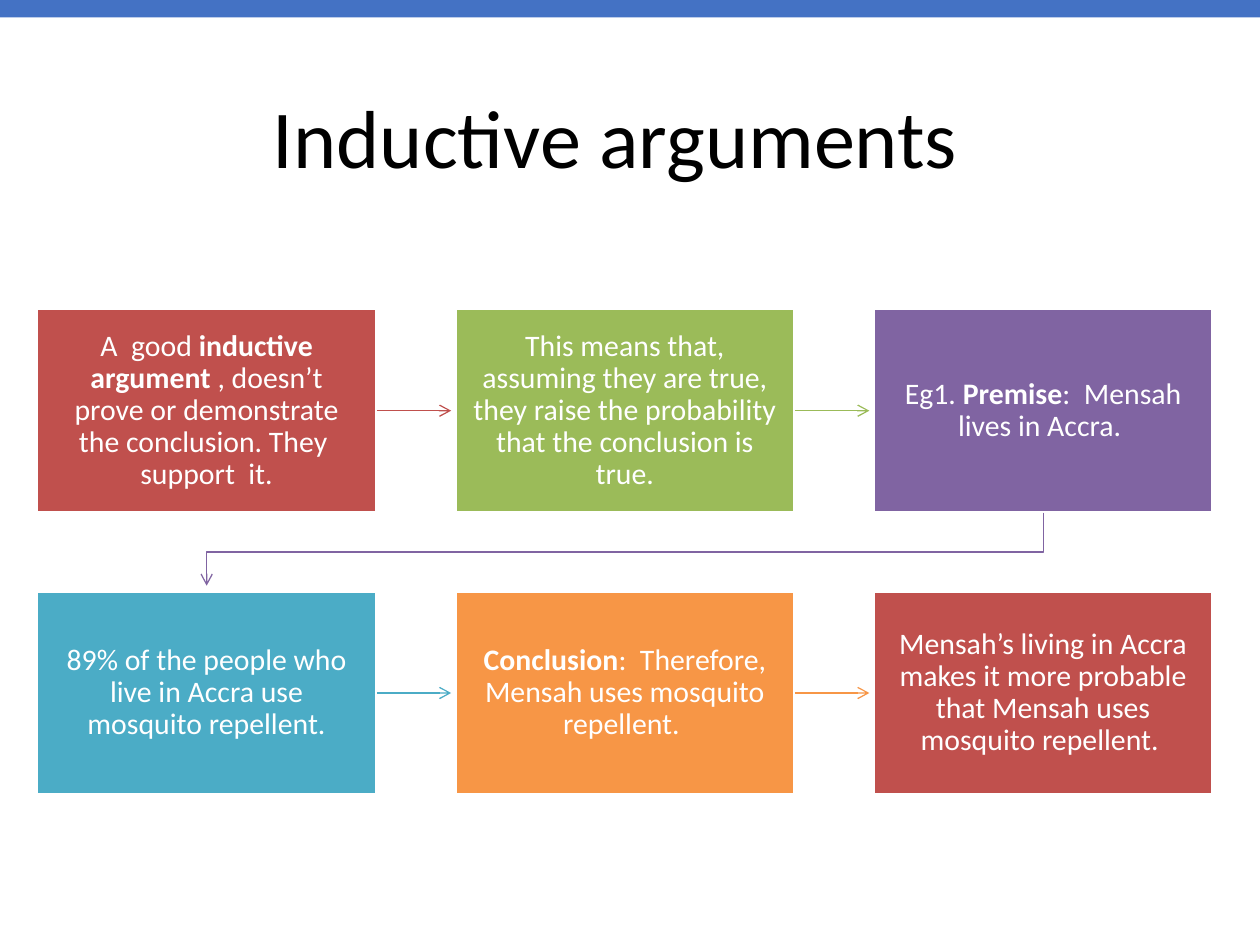
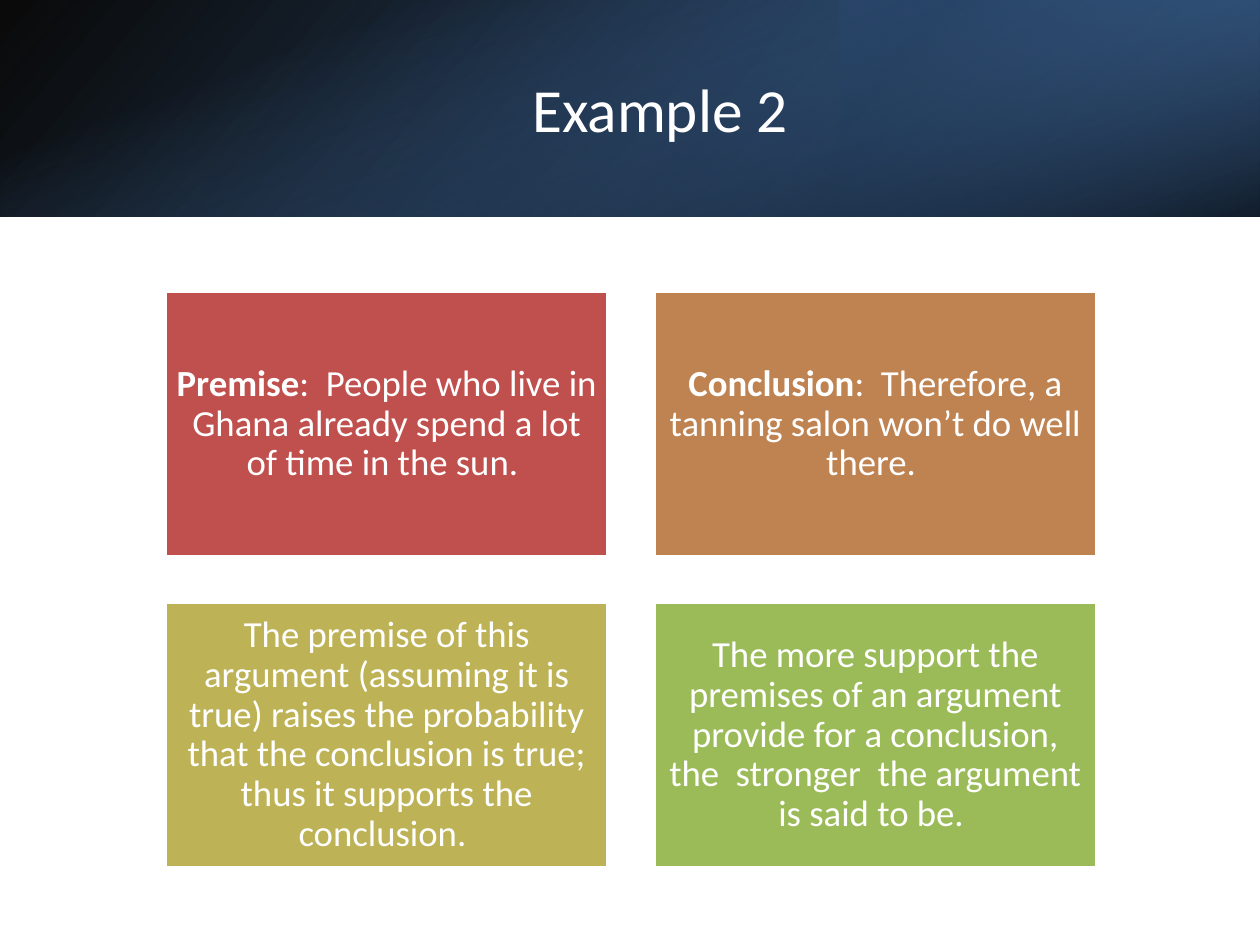
from lxml.etree import SubElement
from pptx import Presentation
from pptx.dml.color import RGBColor
from pptx.enum.shapes import MSO_CONNECTOR as CONNECTOR, MSO_SHAPE as SHAPE
from pptx.enum.text import MSO_ANCHOR as ANCHOR, PP_ALIGN as ALIGN
from pptx.oxml.ns import qn
from pptx.util import Pt

WIDTH, HEIGHT = 720, 540
FONT = "Calibri"
WHITE, BLACK, BLUE = "FFFFFF", "000000", "4472C4"
RED, GREEN, PURPLE = "C0504D", "9BBB59", "8064A2"
TEAL, ORANGE, BROWN, OLIVE = "4BACC6", "F79646", "BE8351", "BDB255"
RIGHT_SIDE = 3

# Asterisks enclose bold words
STEPS = [
    ("A  good *inductive argument *, doesn’t prove or demonstrate the conclusion. "
     "They  support  it.", RED),
    ("This means that, assuming they are true, they raise the probability "
     "that the conclusion is true.", GREEN),
    ("Eg1. *Premise*:  Mensah lives in Accra. ", PURPLE),
    ("89% of the people who live in Accra use mosquito repellent.", TEAL),
    ("*Conclusion*:  Therefore, Mensah uses mosquito repellent. ", ORANGE),
    ("Mensah’s living in Accra makes it more probable that Mensah uses "
     "mosquito repellent. ", RED),
]
EXAMPLE = [
    ("*Premise*:  People who live in Ghana already spend a lot of time in the sun. ", RED),
    ("*Conclusion*:  Therefore, a tanning salon won’t do well there. ", BROWN),
    ("The premise of this argument (assuming it is true) raises the probability "
     "that the conclusion is true; thus it supports the conclusion. ", OLIVE),
    ("The more support the premises of an argument provide for a conclusion, "
     "the  stronger  the argument is said to be. ", GREEN),
]

# Band layers: box, rotation, flipped, angle, stops (position, colour, opacity)
BAND = 123.8
BAND_LAYERS = [
    ((0, 0, WIDTH, BAND), 0, True, 140, [(0, BLACK, 96), (100, "376092", 100)]),
    ((480, 0, 240, BAND), 180, True, 320, [(19, "254061", 68), (100, "4F81BD", 79)]),
    (((WIDTH - BAND) / 2, (BAND - WIDTH) / 2, BAND, WIDTH), 90, False, 340,
     [(23, "4F81BD", 0), (99, BLACK, 74)]),
]


def color(hex_value):
    return RGBColor.from_string(hex_value)


def add_rectangle(slide, box, fill):
    rectangle = slide.shapes.add_shape(SHAPE.RECTANGLE, *map(Pt, box))
    rectangle.shadow.inherit = False
    rectangle.fill.solid()
    rectangle.fill.fore_color.rgb = color(fill)
    rectangle.line.fill.background()
    return rectangle


def write(shape, text, size, ink, spacing=1.0):
    frame = shape.text_frame
    frame.word_wrap = True
    frame.vertical_anchor = ANCHOR.MIDDLE
    paragraph = frame.paragraphs[0]
    paragraph.alignment = ALIGN.CENTER
    paragraph.line_spacing = spacing
    paragraph.font.name = FONT
    paragraph.font.size = Pt(size)
    paragraph.font.color.rgb = color(ink)
    for index, part in enumerate(text.split("*")):
        if part:
            run = paragraph.add_run()
            run.text = part
            if index % 2:
                run.font.bold = True
    return frame


def add_title(slide, box, text, size, ink):
    write(slide.shapes.add_textbox(*map(Pt, box)), text, size, ink)


def add_card_grid(slide, cards, box, columns, gaps, size, insets):
    """Lay the cards out row by row; box is the first card's place."""
    left, top, width, height = box
    shapes = []
    for index, (text, fill) in enumerate(cards):
        row, column = divmod(index, columns)
        place = (left + column * (width + gaps[0]),
                 top + row * (height + gaps[1]), width, height)
        card = add_rectangle(slide, place, fill)
        card.line.color.rgb = color(WHITE)
        card.line.width = Pt(2)
        frame = write(card, text, size, WHITE, 0.9)
        frame.margin_left = frame.margin_right = Pt(insets[0])
        frame.margin_top = frame.margin_bottom = Pt(insets[1])
        shapes.append(card)
    return shapes


def style_arrow(arrow, ink):
    arrow.line.color.rgb = color(ink)
    arrow.line.width = Pt(0.75)
    properties = arrow._element.spPr
    SubElement(properties.find(qn("a:ln")), qn("a:tailEnd"), type="arrow")
    if properties.find(qn("a:effectLst")) is None:
        SubElement(properties, qn("a:effectLst"))


def add_step_arrow(slide, card, ink, length=42.5):
    start, middle = card.left + card.width, card.top + card.height // 2
    arrow = slide.shapes.add_connector(
        CONNECTOR.STRAIGHT, start, middle, start + Pt(length), middle)
    arrow.begin_connect(card, RIGHT_SIDE)
    style_arrow(arrow, ink)


def add_row_turn(slide, last, first, ink):
    """Lead from the end of one row to the start of the next."""
    start_x, end_x = (card.left + card.width // 2 for card in (last, first))
    start_y, end_y = last.top + last.height, first.top - Pt(3)
    bend_y = start_y + Pt(22.5)
    outline = slide.shapes.build_freeform(start_x, start_y)
    outline.add_line_segments(
        [(start_x, bend_y), (end_x, bend_y), (end_x, end_y)], close=False)
    turn = outline.convert_to_shape()
    turn.fill.background()
    turn.shadow.inherit = False
    style_arrow(turn, ink)


def add_gradient_band(slide):
    for box, rotation, flipped, angle, stops in BAND_LAYERS:
        layer = add_rectangle(slide, box, WHITE)
        layer.rotation = rotation
        properties = layer._element.spPr
        if flipped:
            properties.find(qn("a:xfrm")).set("flipH", "1")
        # Gradient with transparent stops in place of the solid fill
        solid = properties.find(qn("a:solidFill"))
        gradient = SubElement(properties, qn("a:gradFill"), rotWithShape="1")
        stop_list = SubElement(gradient, qn("a:gsLst"))
        for position, ink, opacity in stops:
            stop = SubElement(stop_list, qn("a:gs"), pos=str(position * 1000))
            tint = SubElement(stop, qn("a:srgbClr"), val=ink)
            SubElement(tint, qn("a:alpha"), val=str(opacity * 1000))
        SubElement(gradient, qn("a:lin"), ang=str(angle * 60000), scaled="0")
        properties.replace(solid, gradient)


def build_inductive_slide(slide):
    add_title(slide, (20, 25.2, 674, 104.4), "Inductive arguments ", 47, BLACK)
    add_rectangle(slide, (0, 0, WIDTH, 10), BLUE)
    columns = 3
    cards = add_card_grid(slide, STEPS, (20.9, 176.4, 194.4, 116.6), columns,
                          (44.6, 44.7), 17, (9.4, 10))
    # Arrows from each step to the next
    for index, (card, (_, ink)) in enumerate(zip(cards[:-1], STEPS)):
        if (index + 1) % columns:
            add_step_arrow(slide, card, ink)
        else:
            add_row_turn(slide, card, cards[index + 1], ink)


def build_example_slide(slide):
    add_gradient_band(slide)
    add_title(slide, (80.6, 27.4, 593.3, 69), "Example 2", 35, WHITE)
    add_card_grid(slide, EXAMPLE, (94.4, 166.4, 253.2, 151.9), 2,
                  (26, 25.8), 21, (6.5, 6.5))


def main():
    deck = Presentation()
    deck.slide_width, deck.slide_height = Pt(WIDTH), Pt(HEIGHT)
    for build in (build_inductive_slide, build_example_slide):
        build(deck.slides.add_slide(deck.slide_layouts[6]))
    deck.save("out.pptx")


if __name__ == "__main__":
    main()
